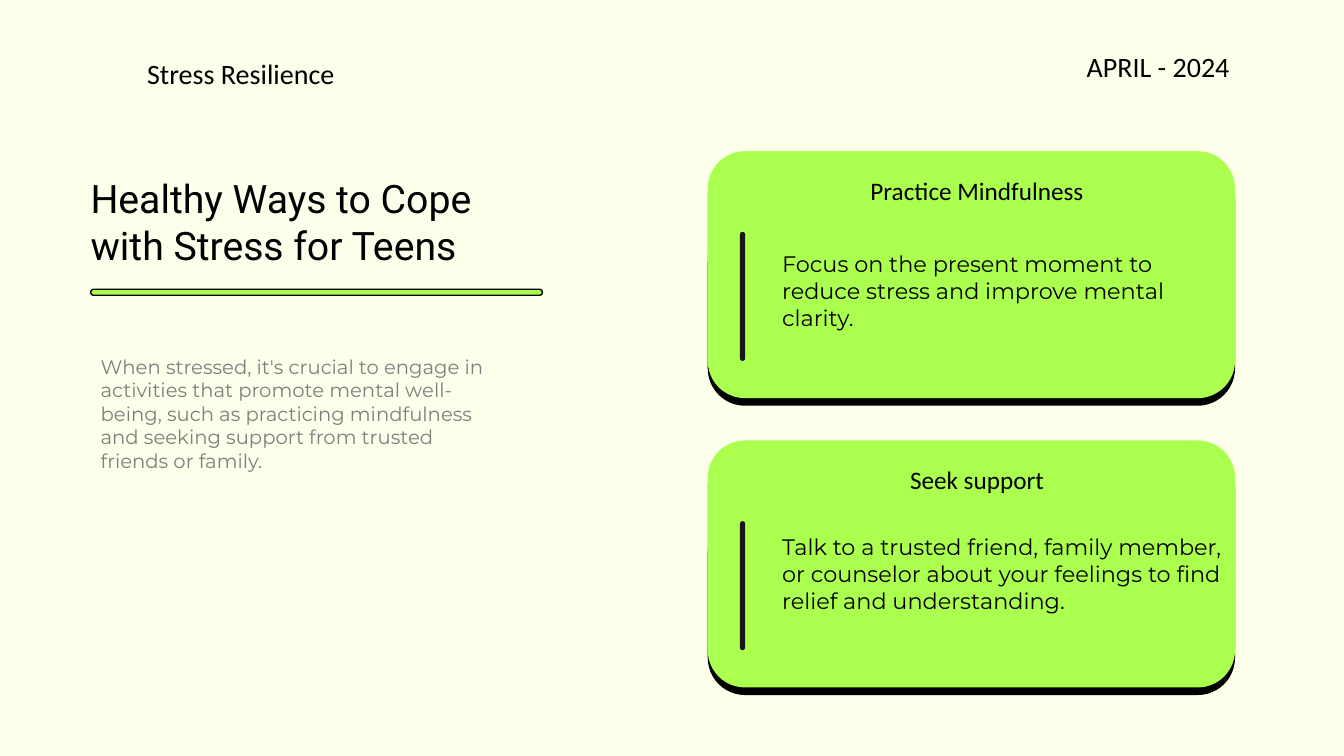
import pptx
import pptx.util
import pptx.dml.color
import pptx.enum.shapes
import pptx.enum.text

SLIDE_W, SLIDE_H = 13.33, 7.5
COLORS = {"paper": "FDFFEA", "lime": "ABFF4F", "black": "000000", "bar": "171717", "grey": "7F7F7F"}
STYLES = {
    "title": {"size": 28, "name": "Roboto", "color": "black"},
    "intro": {"size": 14, "name": "Montserrat", "color": "grey"},
    "label": {"size": 20, "name": "Calibri", "color": "black"},
    "heading": {"size": 18, "name": "Calibri", "color": "black"},
    "body": {"size": 16, "name": "Montserrat", "color": "black"},
}
CARDS = [
    ("Practice Mindfulness", "Focus on the present moment to reduce stress and improve mental clarity.", 12.4),
    ("Seek support", "Talk to a trusted friend, family member, or counselor about your feelings to find "
     "relief and understanding.", 11.6),
]
CARD_PITCH = 38.27


def rgb(color):
    return pptx.dml.color.RGBColor.from_string(COLORS[color])


def place(box, x, y, w, h):
    left, top = box[:2]
    shares = (left + x, SLIDE_W), (top + y, SLIDE_H), (w, SLIDE_W), (h, SLIDE_H)
    return [pptx.util.Inches(share / 100 * size) for share, size in shares]


def add_text(s, area, text, style, align="LEFT"):
    tf = s.shapes.add_textbox(*area).text_frame
    tf.word_wrap = True
    p = tf.paragraphs[0]
    p.alignment = getattr(pptx.enum.text.PP_ALIGN, align)
    r = p.add_run()
    r.text = text
    font = dict(STYLES[style])
    r.font.color.rgb = rgb(font.pop("color"))
    font["size"] = pptx.util.Pt(font["size"])
    for key, value in font.items():
        setattr(r.font, key, value)


def add_round(s, area, fill, radius=0.5, outline=None):
    sp = s.shapes.add_shape(pptx.enum.shapes.MSO_SHAPE.ROUNDED_RECTANGLE, *area)
    sp.adjustments[0] = radius
    sp.shadow.inherit = False
    sp.fill.solid()
    sp.fill.fore_color.rgb = rgb(fill)
    if outline:
        sp.line.color.rgb = rgb(outline)
        sp.line.width = pptx.util.Pt(1)
    else:
        sp.line.fill.background()


def add_header(s, box):
    add_text(s, place(box, 0, 0.93, 38.18, 5.87), "Stress Resilience", "label")
    add_text(s, place(box, 69.92, 0, 18, 5.87), "APRIL - 2024", "label")


def add_intro(s, box):
    add_text(s, place(box, 0, 0, 35.18, 13.87), "Healthy Ways to Cope with Stress for Teens", "title")
    add_round(s, place(box, 0.75, 15.87, 33.61, 0.8), "lime", outline="black")
    add_text(s, place(box, 0.75, 23.87, 30.46, 17.07),
             "When stressed, it's crucial to engage in activities that promote mental well-being, "
             "such as practicing mindfulness and seeking support from trusted friends or family.", "intro")


def add_card(s, box, heading, body, body_top):
    w, h = box[2:]
    for drop, fill in ((1, "black"), (0, "lime")):
        add_round(s, place(box, 0, drop, w, h), fill, 0.151)
    add_round(s, place(box, 2.4, 10.67, 0.38, 17.07), "bar")
    add_text(s, place(box, 7.65, 2.53, 24.76, 5.33), heading, "heading", "CENTER")
    add_text(s, place(box, 4.8, body_top, 34.4, 12.13), body, "body")


def main():
    prs = pptx.Presentation()
    prs.slide_width = pptx.util.Inches(SLIDE_W)
    prs.slide_height = pptx.util.Inches(SLIDE_H)
    s = prs.slides.add_slide(prs.slide_layouts[6])
    s.background.fill.solid()
    s.background.fill.fore_color.rgb = rgb("paper")
    add_header(s, (10.2, 5.87))
    add_intro(s, (6, 22.4))
    for i, card in enumerate(CARDS):
        add_card(s, (52.66, 20 + i * CARD_PITCH, 39.23, 32.67), *card)
    prs.save("out.pptx")


if __name__ == "__main__":
    main()
